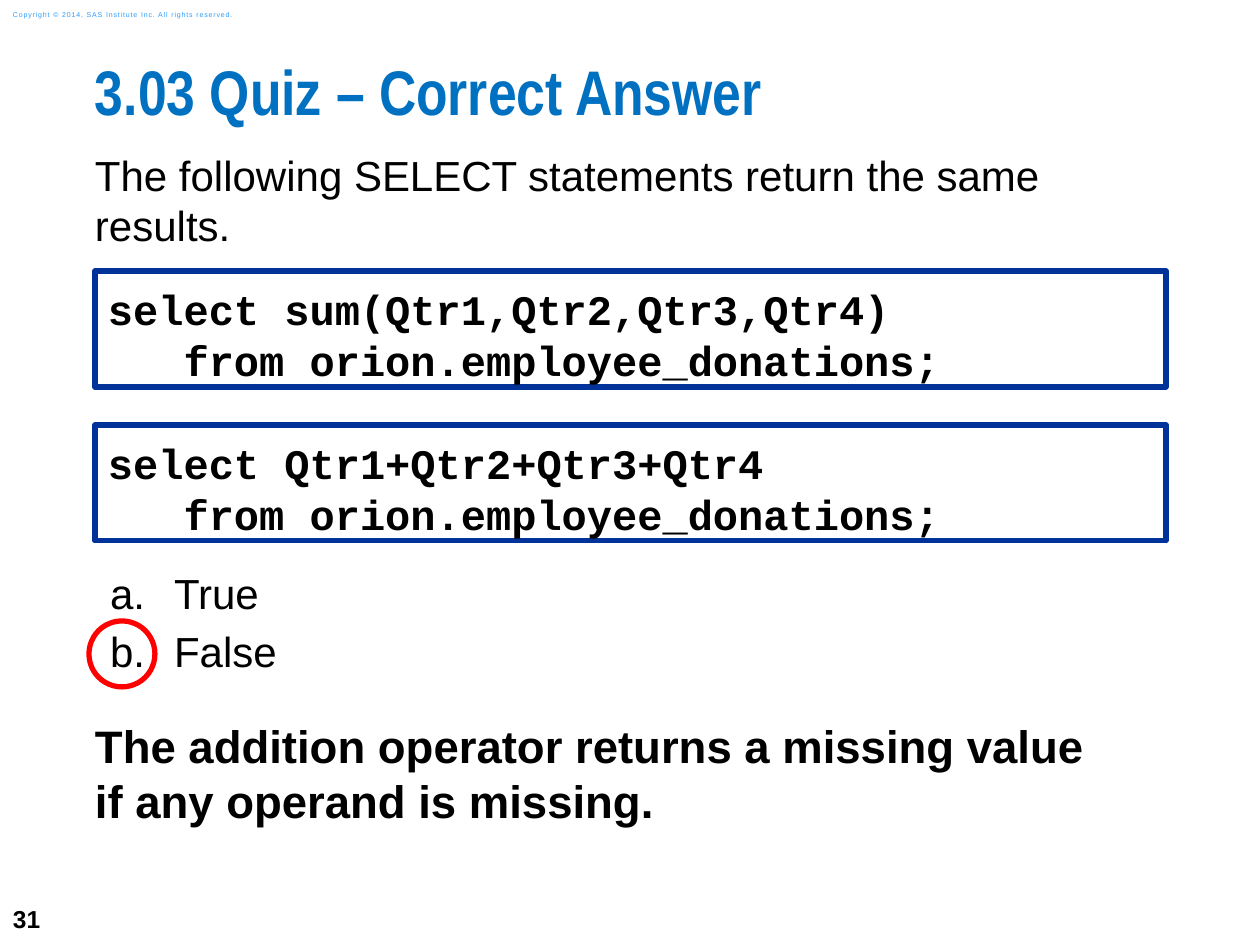
from lxml import etree
from pptx import Presentation, util as u
from pptx.dml.color import RGBColor
from pptx.enum import shapes, text
from pptx.oxml.ns import qn

PX = 914400 // 126
BLACK = RGBColor(0, 0, 0)
WHITE = RGBColor(255, 255, 255)
BLUE = RGBColor(0x00, 0x70, 0xC0)
NAVY = RGBColor(0x00, 0x33, 0x99)
SKY = RGBColor(0x2A, 0x9C, 0xFF)
RED = RGBColor(255, 0, 0)
LEFT = 95


def fill_text(shape, lines, size, lead=None, face="Arial", color=BLACK,
              bold=False, inset=(0, 0, 0, 0), wrap=True):
    """Write one paragraph per line; lead is the line pitch in points."""
    frame = shape.text_frame
    frame.word_wrap = wrap
    frame.margin_left, frame.margin_top, frame.margin_right, frame.margin_bottom = (
        n * PX for n in inset)
    frame.text = "\n".join(lines)
    for para in frame.paragraphs:
        para.alignment = text.PP_ALIGN.LEFT
        if lead:
            para.line_spacing = u.Pt(lead)
        font = para.font
        font.name, font.size, font.bold = face, u.Pt(size), bold
        font.color.rgb = color
    return frame


def add_text(left, top, width, height, lines, size, **style):
    box = slide.shapes.add_textbox(left * PX, top * PX, width * PX, height * PX)
    return fill_text(box, lines, size, **style)


deck = Presentation()
deck.slide_width, deck.slide_height = u.Inches(10), u.Inches(7.5)
slide = deck.slides.add_slide(deck.slide_layouts[6])

# Page number and copyright line
edge = (13, 6, 13, 6)
page = add_text(0, 892, 73, 53, ["31"], 14, bold=True, inset=edge, wrap=False)
note = add_text(0, 4, 266, 21,
                ["Copyright © 2014, SAS Institute Inc. All rights reserved."],
                4, color=SKY, inset=edge)
for frame in (page, note):
    frame.vertical_anchor = text.MSO_ANCHOR.MIDDLE
note.paragraphs[0].runs[0]._r.get_or_add_rPr().set("spc", "50")

# Title and question
add_text(LEFT, 63, 1165, 93, ["3.03 Quiz – Correct Answer"], 36, lead=37,
         face="Arial Narrow", color=BLUE, bold=True)
add_text(LEFT, 150, 1081, 104,
         ["The following SELECT statements return the same results."], 24, lead=28.6)

# Code boxes
source = "   from orion.employee_donations;"
queries = ["select sum(Qtr1,Qtr2,Qtr3,Qtr4)", "select Qtr1+Qtr2+Qtr3+Qtr4"]
for row, query in enumerate(queries):
    code = slide.shapes.add_shape(shapes.MSO_SHAPE.RECTANGLE, LEFT * PX,
                                  (271 + 154 * row) * PX, 1071 * PX, 116 * PX)
    code.shadow.inherit = False
    code.fill.solid()
    code.fill.fore_color.rgb = WHITE
    code.line.color.rgb, code.line.width = NAVY, u.Pt(3)
    frame = fill_text(code, [query, source], 24, lead=29.5, face="Courier New",
                      bold=True, inset=(13, 11, 8, 0))
    frame.vertical_anchor = text.MSO_ANCHOR.TOP

# Answers
answers = add_text(LEFT, 568, 1081, 120, ["True", "False"], 24, lead=28.6)
for para in answers.paragraphs:
    para.space_after = u.Pt(4.6)
    props = para._p.get_or_add_pPr()
    props.set("marL", str(79 * PX))
    props.set("indent", str(-64 * PX))
    mark = etree.Element(qn("a:buAutoNum"), type="alphaLcPeriod")
    props.find(qn("a:defRPr")).addprevious(mark)

ring = slide.shapes.add_shape(shapes.MSO_SHAPE.OVAL, 89 * PX, 621 * PX, 66 * PX, 66 * PX)
ring.shadow.inherit = False
ring.fill.background()
ring.line.color.rgb, ring.line.width = RED, u.Pt(3)

# Explanation
add_text(LEFT, 718, 1081, 115,
         ["The addition operator returns a missing value\vif any operand is missing."],
         26, lead=31.4, bold=True)

deck.save("out.pptx")
